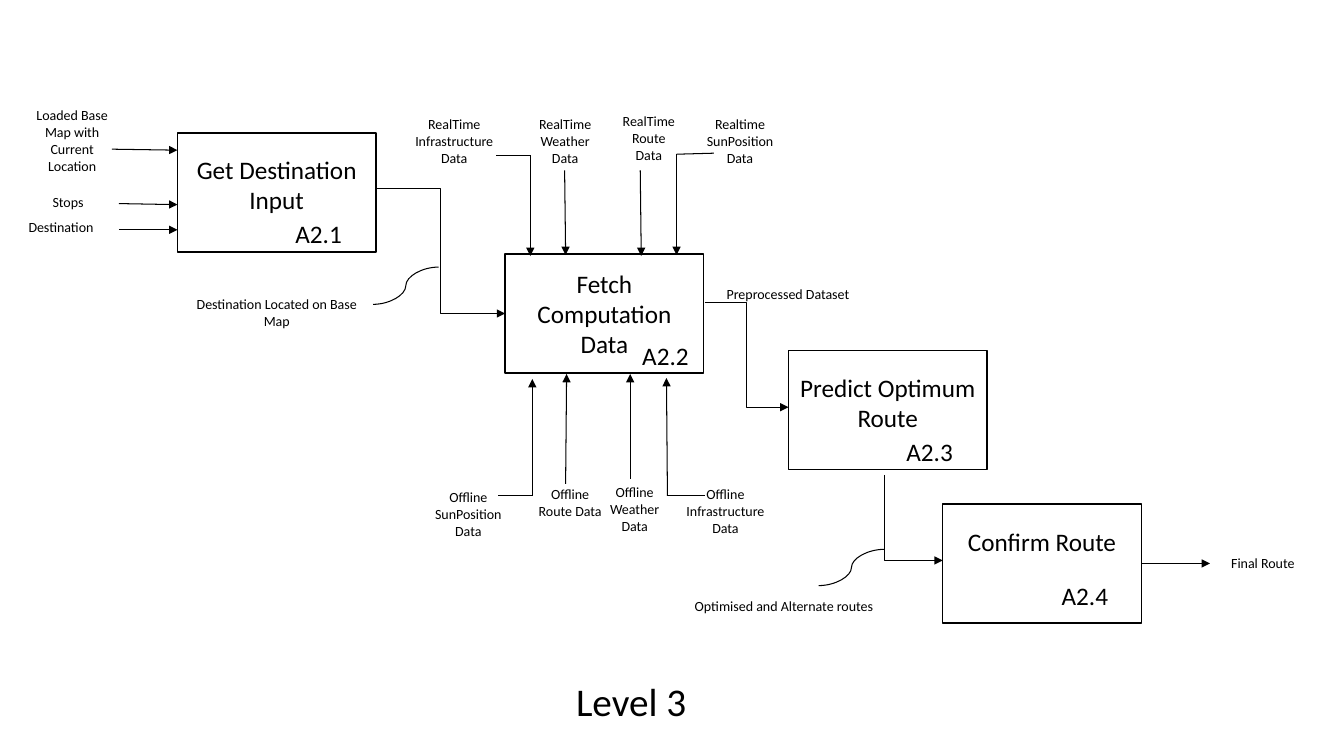
from dataclasses import dataclass

from lxml.etree import SubElement
from pptx import Presentation
from pptx.dml.color import RGBColor
from pptx.enum.shapes import MSO_CONNECTOR as Link, MSO_SHAPE as Preset
from pptx.enum.text import MSO_ANCHOR as Anchor, MSO_AUTO_SIZE as Fit, PP_ALIGN as Align
from pptx.oxml.ns import qn
from pptx.util import Emu, Pt


@dataclass(frozen=True)
class Theme:
    """Colours, type sizes and line widths of the diagram."""
    ink: RGBColor = RGBColor(0, 0, 0)
    paper: RGBColor = RGBColor(255, 255, 255)
    font: str = "Calibri"
    title: int = 28
    process: int = 18
    label: int = 10
    border: float = 1
    flow: float = 0.75


THEME = Theme()
SCALE = 9144
PROCESS_WIDTH, PROCESS_HEIGHT = 197, 118

PROCESSES = [
    (176, 132, "Get Destination Input", 16, "A2.1", 102, 80),
    (501, 252, "Fetch Computation Data", 9, "A2.2", 121, 81),
    (782, 348, "Predict Optimum Route", 16, "A2.3", 102, 80),
    (935, 500, "Confirm Route", 17, "A2.4", 103, 71),
]

LABELS = [
    (19, 101, 105, 63, "Loaded Base Map with Current Location"),
    (19, 187, 97, 30, "Stops"),
    (12, 212, 97, 30, "Destination"),
    (399, 110, 103, 63, "RealTime Infrastructure Data"),
    (518, 110, 85, 63, "RealTime Weather Data"),
    (603, 107, 81, 61, "RealTime Route Data"),
    (686, 110, 96, 63, "Realtime SunPosition Data"),
    (411, 480, 107, 58, "Offline SunPosition Data"),
    (524, 477, 83, 53, "Offline Route Data"),
    (588, 475, 83, 69, "Offline Weather Data"),
    (665, 477, 109, 60, "Offline Infrastructure Data"),
    (176, 288, 197, 30, "Destination Located on Base Map"),
    (683, 278, 197, 51, "Preprocessed Dataset"),
    (679, 588, 197, 51, "Optimised and Alternate routes"),
    (1154, 545, 197, 26, "Final Route"),
]

ARROWS = [
    (111, 148, 176, 149), (118, 202, 176, 203), (118, 228, 176, 228),
    (526, 154, 526, 254), (560, 169, 561, 253),
    (635, 169, 636, 254), (671, 153, 671, 253),
    (528, 492, 528, 376), (561, 480, 562, 371),
    (625, 475, 625, 371), (662, 492, 661, 375),
]
STUBS = [(492, 154, 526, 154), (708, 152, 671, 153),
         (494, 492, 528, 492), (699, 492, 662, 492)]
ELBOWS = [(372, 187, 501, 311), (699, 300, 782, 404)]
CURVES = [(435, 265, 370, 302), (877, 545, 812, 581)]


def px(*lengths):
    """Turn whole px lengths into EMU."""
    return [Emu(round(length * SCALE)) for length in lengths]


def write(shape, text, size, anchor=Anchor.TOP):
    """Put centred text into a shape."""
    frame = shape.text_frame
    frame.word_wrap = True
    frame.auto_size = Fit.NONE
    frame.vertical_anchor = anchor
    para = frame.paragraphs[0]
    para.alignment = Align.CENTER
    span = para.add_run()
    span.text = text
    span.font.name = THEME.font
    span.font.size = Pt(size)
    span.font.color.rgb = THEME.ink


def add_text(page, left, top, width, height, text, size=THEME.label):
    """Add a wrapping text box."""
    write(page.shapes.add_textbox(*px(left, top, width, height)), text, size)


def add_process(page, left, top, name, name_drop, code, code_shift, code_drop):
    """Add a process rectangle with its name and its code."""
    box = page.shapes.add_shape(
        Preset.RECTANGLE, *px(left, top, PROCESS_WIDTH, PROCESS_HEIGHT))
    box.shadow.inherit = False
    box.fill.solid()
    box.fill.fore_color.rgb = THEME.paper
    box.line.color.rgb = THEME.ink
    box.line.width = Pt(THEME.border)
    add_text(page, left, top + name_drop, PROCESS_WIDTH, 79, name, THEME.process)
    add_text(page, left + code_shift, top + code_drop, 76, 38, code, THEME.process)
    return box


def add_flow(page, ends, kind=Link.STRAIGHT, arrow=True):
    """Add a connector, with an arrowhead at its end if asked."""
    flow = page.shapes.add_connector(kind, *px(*ends))
    flow.line.color.rgb = THEME.ink
    flow.line.width = Pt(THEME.flow)
    properties = flow._element.spPr
    if arrow:
        SubElement(properties.find(qn("a:ln")), qn("a:tailEnd"), type="triangle")
    SubElement(properties, qn("a:effectLst"))
    return flow


def add_corner(page, left, top, right, bottom):
    """Add an arrow that runs down and then turns right."""
    across, down = right - left, bottom - top
    near, far = (left + right - down) / 2, (left + right + down) / 2
    high, low = (top + bottom - across) / 2, (top + bottom + across) / 2
    flow = add_flow(page, (near, low, far, high), Link.ELBOW)
    properties = flow._element.spPr
    properties.find(qn("a:prstGeom")).set("prst", "bentConnector2")
    properties.find(qn("a:xfrm")).set("rot", str(90 * 60000))


def add_title(page, left, top, width, height, text):
    """Move and fill the title placeholder."""
    title = page.shapes.title
    title.left, title.top, title.width, title.height = px(left, top, width, height)
    write(title, text, THEME.title)


def main():
    """Build the process diagram and save it."""
    deck = Presentation()
    deck.slide_width, deck.slide_height = px(1333, 750)
    page = deck.slides.add_slide(deck.slide_layouts[5])
    add_title(page, 394, 667, 464, 58, "Level 3")
    boxes = [add_process(page, *process) for process in PROCESSES]
    for label in LABELS:
        add_text(page, *label)
    for ends in ARROWS:
        add_flow(page, ends)
    for ends in STUBS:
        add_flow(page, ends, arrow=False)
    for ends in ELBOWS:
        add_flow(page, ends, Link.ELBOW)
    for ends in CURVES:
        add_flow(page, ends, Link.CURVE, arrow=False)
    add_corner(page, 877, 471, 935, 556)
    add_flow(page, (1132, 559, 1200, 559)).begin_connect(boxes[-1], 3)
    deck.save("out.pptx")


if __name__ == "__main__":
    main()
